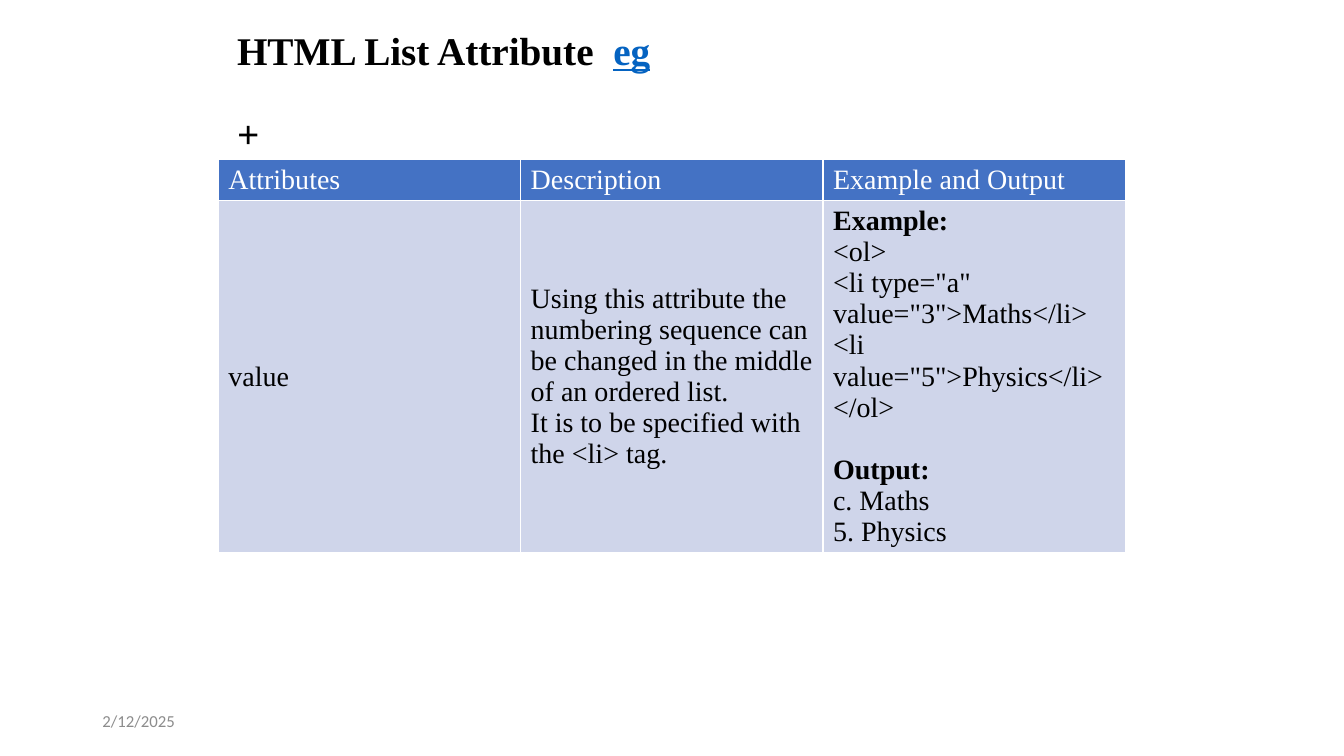
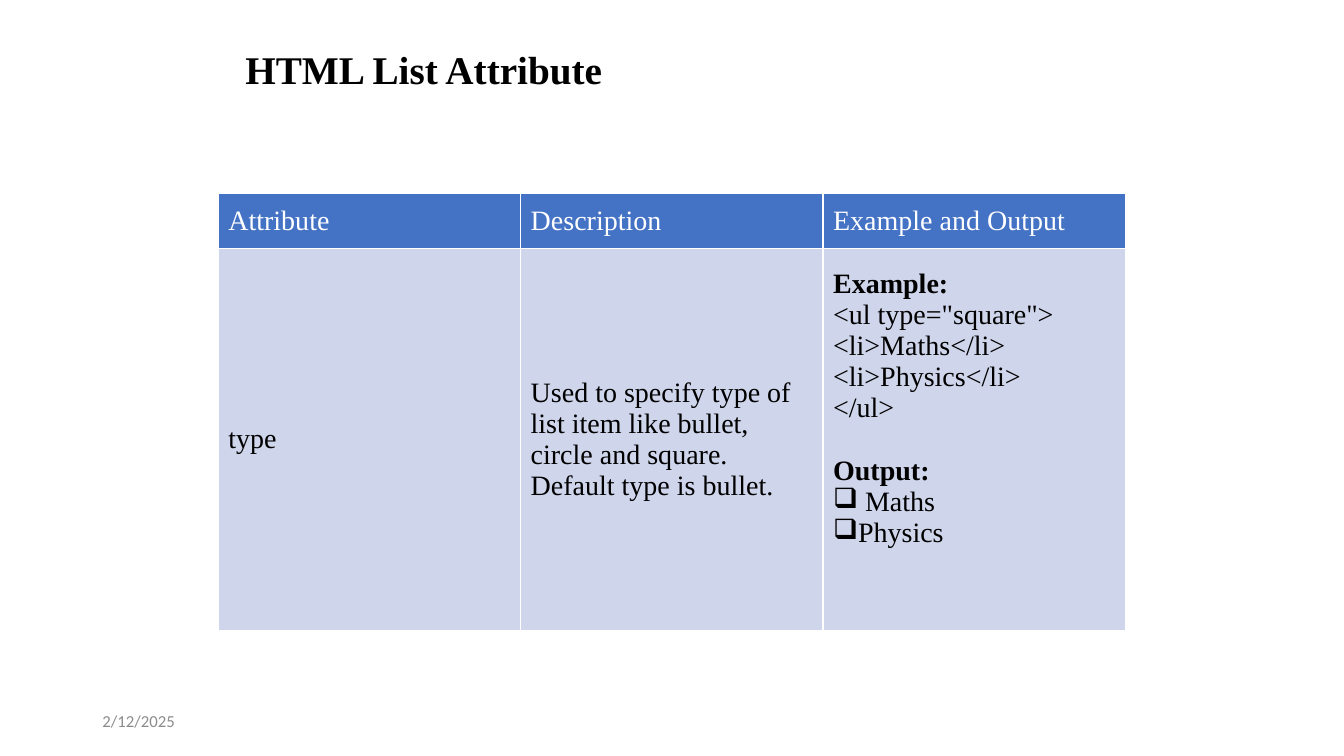
from dataclasses import dataclass
from lxml import etree
from pptx import Presentation
from pptx.dml.color import RGBColor
from pptx.enum.text import MSO_ANCHOR, MSO_AUTO_SIZE, PP_ALIGN
from pptx.oxml.ns import qn
from pptx.util import Cm, Pt

TOP, MID = MSO_ANCHOR.TOP, MSO_ANCHOR.MIDDLE
LEFT, FIXED = PP_ALIGN.LEFT, MSO_AUTO_SIZE.NONE


@dataclass(frozen=True)
class Theme:
    serif: str = "Times New Roman"
    sans: str = "Calibri"
    ink: str = "000000"
    white: str = "FFFFFF"
    head: str = "4472C4"
    body: str = "CFD5EA"
    link: str = "0563C1"
    grey: str = "8C8C8C"
    title: int = 28
    cell: int = 20
    date: int = 12


T = Theme()
BULLET = "❑"
COL = Cm(7.62)

SLIDES = [
    dict(
        title_at=(5.72, 0, 3.95), inset=0.8, link="eg", mark="+",
        table_top=4.01, rows=(1.04, 8.87), last=(MID, 0.13),
        cells=[
            ["Attributes", "Description", "Example and Output"],
            ["value",
             "Using this attribute the numbering sequence can be changed "
             "in the middle of an ordered list.\n"
             "It is to be specified with the <li> tag.",
             'Example:\n<ol>\n<li type="a" value="3">Maths</li>\n'
             '<li value="5">Physics</li>\n</ol>\n'
             "Output:\nc. Maths\n5. Physics"],
        ],
    ),
    dict(
        title_at=(5.93, 1.07, 1.47), inset=0.21, link="", mark="",
        table_top=4.88, rows=(1.38, 9.62), last=(TOP, 0.51),
        cells=[
            ["Attribute", "Description", "Example and Output"],
            ["type",
             "Used to specify type of list item like bullet, circle and "
             "square.\nDefault type is bullet.",
             'Example:\n<ul type="square">\n<li>Maths</li>\n'
             "<li>Physics</li>\n</ul>\n"
             f"Output:\n{BULLET} Maths\n{BULLET}Physics"],
        ],
    ),
]


def style(run, size, color, face=T.serif, bold=False):
    font = run.font
    font.name, font.size, font.bold = face, Pt(size), bold
    font.color.rgb = RGBColor.from_string(color)


def border(cell):
    props = cell._tc.get_or_add_tcPr()
    for side in ("lnL", "lnR", "lnT", "lnB"):
        line = etree.SubElement(props, qn(f"a:{side}"), w=str(Pt(1)))
        fill = etree.SubElement(line, qn("a:solidFill"))
        etree.SubElement(fill, qn("a:srgbClr"), val=T.white)


prs = Presentation()
prs.slide_width, prs.slide_height = Cm(33.87), Cm(19.05)

for data in SLIDES:
    slide = prs.slides.add_slide(prs.slide_layouts[5])

    # Title
    title = slide.shapes.title
    x, y, h = data["title_at"]
    title.left, title.top = Cm(x), Cm(y)
    title.width, title.height = 3 * COL, Cm(h)
    frame = title.text_frame
    frame.auto_size, frame.vertical_anchor = FIXED, TOP
    frame.margin_top, frame.margin_bottom = Cm(data["inset"]), 0
    frame.text = "HTML List Attribute"
    first = frame.paragraphs[0]
    if data["link"]:
        gap = first.add_run()
        gap.text = " "
        gap.font._element.set("spc", "700")
        first.add_run().text = data["link"]
    if data["mark"]:
        mark = frame.add_paragraph()
        mark.text = data["mark"]
        mark.space_before = Pt(29)
    for para in frame.paragraphs:
        para.alignment, para.line_spacing = LEFT, 0.9
        for run in para.runs:
            is_link = run.text == data["link"]
            style(run, T.title, T.link if is_link else T.ink, bold=True)
            run.font.underline = is_link

    # Attribute table
    rows = data["rows"]
    table = slide.shapes.add_table(
        2, 3, Cm(5.5), Cm(data["table_top"]), 3 * COL, Cm(sum(rows))).table
    for r, texts in enumerate(data["cells"]):
        table.rows[r].height = Cm(rows[r])
        for c, text in enumerate(texts):
            cell = table.cell(r, c)
            cell.vertical_anchor = MID
            border(cell)
            cell.fill.solid()
            cell.fill.fore_color.rgb = RGBColor.from_string(
                T.body if r else T.head)
            cell.text_frame.text = text.replace(BULLET, "")
            for para, line in zip(cell.text_frame.paragraphs,
                                  text.split("\n")):
                style(para.runs[0], T.cell, T.ink if r else T.white,
                      bold=line.endswith(":"))
                if line == "Output:":
                    para.space_before = Pt(22.5)
                if line.startswith(BULLET):
                    props = para._p.get_or_add_pPr()
                    props.set("marL", "0")
                    props.set("indent", "0")
                    etree.SubElement(props, qn("a:buChar"), char=BULLET)
    last = table.cell(1, 2)
    last.vertical_anchor, last.margin_top = data["last"][0], Cm(data["last"][1])

    # Date
    date = slide.shapes.add_textbox(Cm(2.33), Cm(17.66), COL, Cm(1.01))
    date.text_frame.word_wrap = True
    date.text_frame.vertical_anchor = MID
    date.text_frame.text = "2/12/2025"
    style(date.text_frame.paragraphs[0].runs[0], T.date, T.grey, T.sans)

prs.save("out.pptx")
